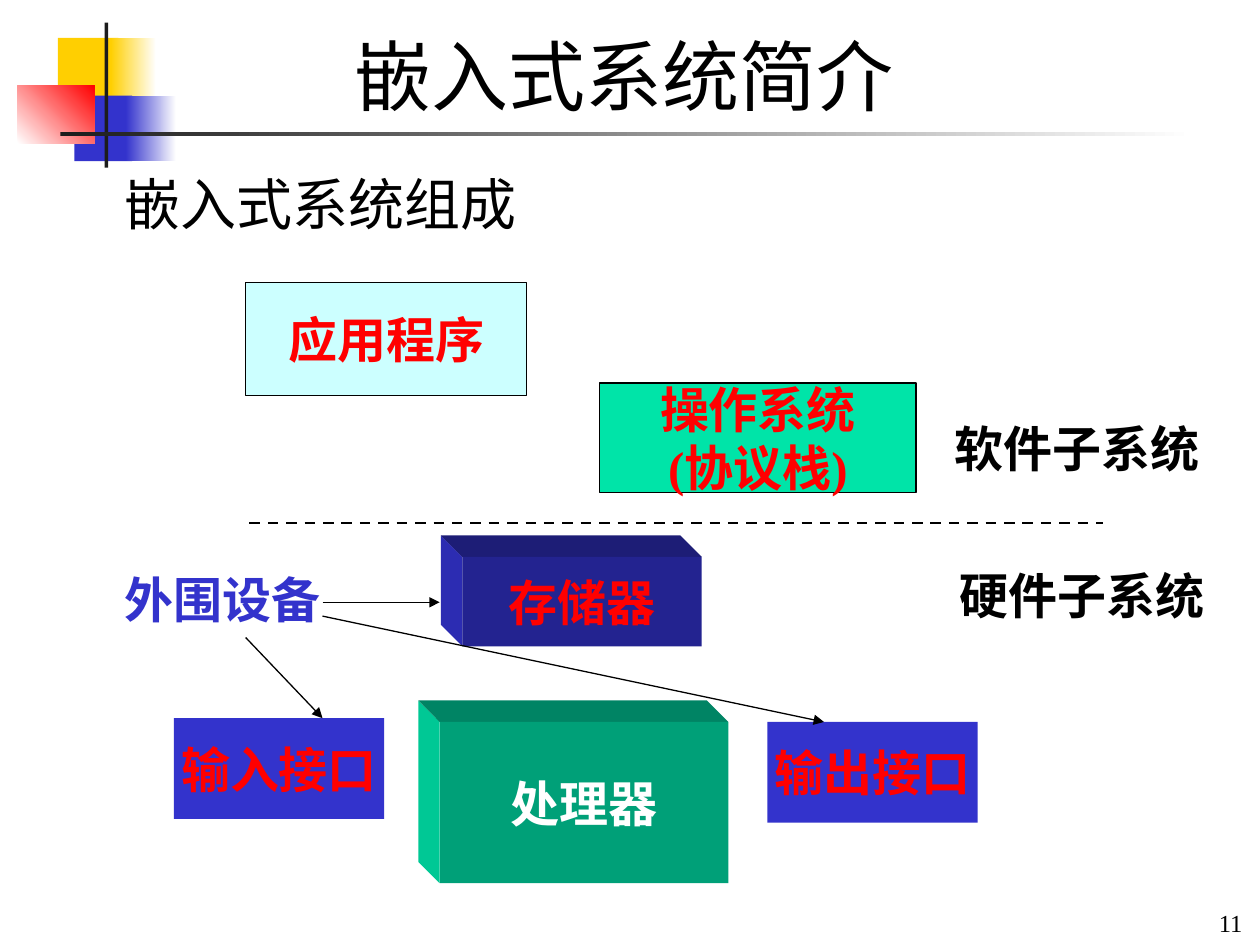
from dataclasses import dataclass
from lxml.etree import SubElement
from pptx import Presentation
from pptx.dml.color import RGBColor
from pptx.enum.dml import MSO_LINE
from pptx.enum.shapes import MSO_CONNECTOR, MSO_SHAPE
from pptx.enum.text import MSO_ANCHOR, MSO_AUTO_SIZE, PP_ALIGN
from pptx.oxml.ns import qn
from pptx.util import Inches, Pt

COLUMNS, ROWS = 100, 75
CELL = Inches(10) // COLUMNS


@dataclass(frozen=True)
class Theme:
    serif: str = "Times New Roman"
    sans: str = "Cabin"
    title: int = 44
    heading: int = 32
    label: int = 28
    number: int = 14
    black: str = "000000"
    white: str = "FFFFFF"
    ink: str = "1C1C1C"
    red: str = "FF0000"
    blue: str = "3333CC"
    yellow: str = "FFCF01"
    pale: str = "CCFFFF"
    green: str = "00E4A8"
    # Front, left and top faces of the blocks
    green_faces: tuple = ("00A078", "00C895", "008464")
    blue_faces: tuple = ("232390", "2C2CB2", "1D1D76")


THEME = Theme()


@dataclass(frozen=True)
class Box:
    """An area in grid cells; inner areas count from its top left corner."""
    left: float
    top: float
    width: float
    height: float

    def inner(self, left, top, width, height):
        return Box(self.left + left, self.top + top, width, height)

    def point(self, column, row):
        return round((self.left + column) * CELL), round((self.top + row) * CELL)

    def frame(self):
        return *self.point(0, 0), round(self.width * CELL), round(self.height * CELL)


def color(value):
    return RGBColor.from_string(value)


def write(shape, lines, size, ink, bold=False, font=THEME.serif,
          align=PP_ALIGN.CENTER, anchor=MSO_ANCHOR.MIDDLE, wrap=False):
    frame = shape.text_frame
    frame.auto_size = MSO_AUTO_SIZE.NONE
    frame.word_wrap = wrap
    frame.vertical_anchor = anchor
    for index, line in enumerate(lines):
        paragraph = frame.add_paragraph() if index else frame.paragraphs[0]
        paragraph.alignment = align
        run = paragraph.add_run()
        run.text = line
        run.font.name, run.font.size, run.font.bold = font, Pt(size), bold
        run.font.color.rgb = color(ink)


def add_text(slide, box, line, size, ink, **style):
    style = {"align": PP_ALIGN.LEFT, "anchor": MSO_ANCHOR.TOP, "wrap": True, **style}
    write(slide.shapes.add_textbox(*box.frame()), [line], size, ink, **style)


def paint(shape, fill, end=None, angle=0, outline=None):
    shape.shadow.inherit = False
    if end:
        shape.fill.gradient()
        shape.fill.gradient_angle = angle
        for stop, value, position in zip(shape.fill.gradient_stops, (fill, end), (0, 1)):
            stop.color.rgb, stop.position = color(value), position
    else:
        shape.fill.solid()
        shape.fill.fore_color.rgb = color(fill)
    if outline:
        shape.line.color.rgb, shape.line.width = color(outline), Pt(0.75)
    else:
        shape.line.fill.background()


def add_panel(slide, box, fill, lines=(), ink=THEME.red, **style):
    shape = slide.shapes.add_shape(MSO_SHAPE.RECTANGLE, *box.frame())
    paint(shape, fill, **style)
    if lines:
        write(shape, lines, THEME.label, ink, bold=True)


def add_block(slide, box, faces, line, ink):
    """A panel with a left and a top face that recede to the upper left."""
    depth, width, height = 1.7, box.width, box.height
    front, left, top = faces
    for fill, corner in ((left, (0, height)), (top, (width, 0))):
        column, row = corner
        outline = [(0, 0), (-depth, -depth), (column - depth, row - depth), corner]
        points = [box.point(*place) for place in outline]
        builder = slide.shapes.build_freeform(*points[0], scale=1.0)
        builder.add_line_segments(points[1:], close=True)
        paint(builder.convert_to_shape(), fill)
    add_panel(slide, box, front, [line], ink)


def add_line(slide, start, end, width=0.75, dashed=False, arrow=False):
    connector = slide.shapes.add_connector(MSO_CONNECTOR.STRAIGHT, *start, *end)
    connector.line.color.rgb, connector.line.width = color(THEME.black), Pt(width)
    if dashed:
        connector.line.dash_style = MSO_LINE.DASH
    if arrow:
        SubElement(connector.line._get_or_add_ln(), qn("a:tailEnd"), type="triangle")
    SubElement(connector._element.spPr, qn("a:effectLst"))


def draw_ornament(slide, box):
    # Coloured squares, then the vertical and horizontal bars
    parts = (
        ((3.2, 1.2, 4.8, 5.2), THEME.yellow, None, 0),
        ((7.4, 1.2, 3.6, 5.2), THEME.yellow, THEME.white, 0),
        ((4.5, 5.8, 4.6, 5.2), THEME.blue, None, 0),
        ((8.6, 5.8, 4, 5.2), THEME.blue, THEME.white, 0),
        ((0, 5, 6.1, 4.6), THEME.white, THEME.red, 45),
        ((6.9, 0, 0.3, 11.5), THEME.ink, None, 0),
        ((3.4, 8.7, 90, 0.3), THEME.ink, THEME.white, 0),
    )
    for place, fill, end, angle in parts:
        add_panel(slide, box.inner(*place), fill, end=end, angle=angle)


def draw_header(slide, box):
    # Title and subheading
    title = slide.shapes.title
    title.left, title.top, title.width, title.height = box.inner(0, 0, 92.9, 6.3).frame()
    write(title, ["嵌入式系统简介"], THEME.title, THEME.black, wrap=True)
    add_text(slide, box.inner(5.8, 10.2, 51.4, 6.3), "嵌入式系统组成",
             THEME.heading, THEME.black, font=THEME.sans)


def draw_software(slide, box):
    # Programs above the dashed divider
    add_panel(slide, box.inner(0, 0, 22.3, 9), THEME.pale, ["应用程序"],
              outline=THEME.black)
    add_panel(slide, box.inner(28.1, 8, 25.1, 8.7), THEME.green,
              ["操作系统", "(协议栈)"], outline=THEME.black)
    add_text(slide, box.inner(55.3, 10.3, 23.2, 5.7), "软件子系统",
             THEME.label, THEME.black, bold=True)
    add_line(slide, box.point(0.3, 19.1), box.point(68, 19.1), width=1.5, dashed=True)


def draw_hardware(slide, box):
    # Processor, memory and the two interfaces
    add_block(slide, box.inner(26, 13.1, 22.9, 12.8), THEME.green_faces, "处理器", THEME.white)
    add_block(slide, box.inner(27.8, 0, 19, 7.1), THEME.blue_faces, "存储器", THEME.red)
    for column, row, name in ((4.9, 12.8, "输入接口"), (52, 13.1, "输出接口")):
        add_panel(slide, box.inner(column, row, 16.7, 8), THEME.blue, [name])
    # Labels
    add_text(slide, box.inner(66.3, 0.2, 22.4, 5.7), "硬件子系统",
             THEME.label, THEME.black, bold=True)
    add_text(slide, box.inner(0, 0.5, 21.6, 5.7), "外围设备",
             THEME.label, THEME.blue, bold=True, font=THEME.sans)
    # Arrows from the peripherals
    for start, end in (((10.6, 6.4), (16.7, 12.8)),
                       ((16.7, 3.6), (26, 3.6)),
                       ((16.7, 4.7), (56.5, 13.1))):
        add_line(slide, box.point(*start), box.point(*end), arrow=True)


def draw_page_number(slide, box):
    add_text(slide, box, "11", THEME.number, THEME.black, align=PP_ALIGN.RIGHT)


def main():
    presentation = Presentation()
    presentation.slide_width = COLUMNS * CELL
    presentation.slide_height = ROWS * CELL
    slide = presentation.slides.add_slide(presentation.slide_layouts.get_by_name("Title Only"))
    draw_ornament(slide, Box(1.4, 1.8, 93.4, 11.5))
    draw_page_number(slide, Box(92, 71.6, 7.6, 3.4))
    draw_header(slide, Box(3.1, 2.8, 92.9, 16.5))
    draw_software(slide, Box(19.5, 22.4, 78.5, 19.1))
    draw_hardware(slide, Box(8.9, 44.2, 88.7, 25.9))
    presentation.save("out.pptx")


if __name__ == "__main__":
    main()
